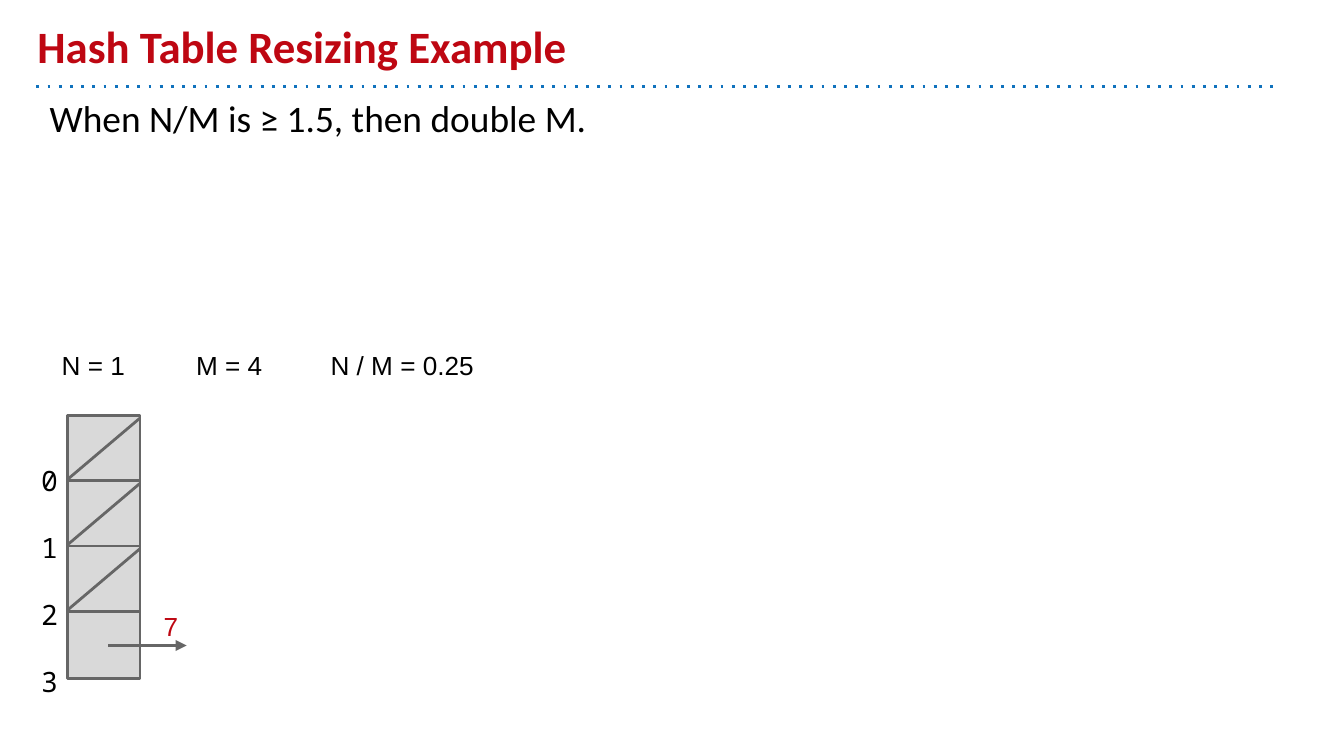
from lxml import etree
from pptx import Presentation
from pptx.dml.color import RGBColor
from pptx.enum import shapes, text
from pptx.oxml import ns
from pptx.util import Pt

RED, BLACK, GREY = "BE0712", "000000", "666666"
BUCKET_COUNT = 4
BUCKET_LEFT, BUCKET_TOP = 36, 222.5
BUCKET_WIDTH, BUCKET_HEIGHT, BUCKET_PITCH = 39, 36, 35


def color(hex_value):
    return RGBColor.from_string(hex_value)


def add_text(slide, box, lines, font, hex_value, paragraph_format=None,
             anchor=text.MSO_ANCHOR.TOP):
    frame = slide.shapes.add_textbox(*map(Pt, box)).text_frame
    frame_format = {"word_wrap": True, "vertical_anchor": anchor}
    for side in ("left", "top", "right", "bottom"):
        frame_format[f"margin_{side}"] = Pt(7.2)
    for name, value in frame_format.items():
        setattr(frame, name, value)
    for i, line in enumerate(lines):
        paragraph = frame.paragraphs[0] if i == 0 else frame.add_paragraph()
        for name, value in (paragraph_format or {}).items():
            setattr(paragraph, name, value)
        run = paragraph.add_run()
        run.text = line
        for name, value in font.items():
            setattr(run.font, name, value)
        run.font.color.rgb = color(hex_value)
    return frame


def add_tab_stops(paragraph, positions):
    tab_list = etree.SubElement(paragraph._p.get_or_add_pPr(),
                                ns.qn("a:tabLst"))
    for position in positions:
        etree.SubElement(tab_list, ns.qn("a:tab"),
                         pos=str(Pt(position)), algn="l")


def add_line(slide, start, end, hex_value, dash=None, arrow=None):
    line = slide.shapes.add_connector(
        shapes.MSO_CONNECTOR.STRAIGHT, *map(Pt, (*start, *end)))
    line.line.color.rgb = color(hex_value)
    line.line.width = Pt(1.5)
    outline = line.line._get_or_add_ln()
    if dash:
        etree.SubElement(outline, ns.qn("a:prstDash"), val=dash)
    if arrow:
        etree.SubElement(outline, ns.qn("a:tailEnd"), type=arrow)
    # An empty effect list removes the shadow
    etree.SubElement(line._element.spPr, ns.qn("a:effectLst"))


def add_bucket(slide, top):
    bucket = slide.shapes.add_shape(
        shapes.MSO_SHAPE.RECTANGLE,
        *map(Pt, (BUCKET_LEFT, top, BUCKET_WIDTH, BUCKET_HEIGHT)))
    bucket.shadow.inherit = False
    bucket.fill.solid()
    bucket.fill.fore_color.rgb = color("D9D9D9")
    bucket.line.color.rgb = color(GREY)
    bucket.line.width = Pt(1.5)


def add_hash_table(slide):
    tops = [BUCKET_TOP + i * BUCKET_PITCH for i in range(BUCKET_COUNT)]
    for top in tops:
        add_bucket(slide, top)

    # Every bucket but the last is empty, shown by a slash
    for top in tops[:-1]:
        add_line(slide, (BUCKET_LEFT, top + 34.5),
                 (BUCKET_LEFT + BUCKET_WIDTH, top + 1.5), GREY)

    # Bucket numbers
    add_text(slide, (15, 223, 23, 140.5), map(str, range(BUCKET_COUNT)),
             {"name": "Noto Sans Mono", "size": Pt(15)}, BLACK,
             {"alignment": text.PP_ALIGN.RIGHT, "line_spacing": 2.0})

    # Item stored in the last bucket
    add_text(slide, (80.5, 320, 32.5, 19.5), ["7"],
             {"name": "Arial", "size": Pt(14)}, RED)
    add_line(slide, (58, 345.8), (100, 345.8), GREY, arrow="triangle")


def main():
    deck = Presentation()
    deck.slide_width, deck.slide_height = Pt(720), Pt(405)
    slide = deck.slides.add_slide(deck.slide_layouts[6])

    # Heading and dotted line
    add_line(slide, (19.5, 46.2), (684, 46.2), "1072BD", dash="dot")
    add_text(slide, (13, 7, 648, 39), ["Hash Table Resizing Example"],
             {"name": "Calibri", "size": Pt(24), "bold": True}, RED,
             anchor=text.MSO_ANCHOR.BOTTOM)

    # Resizing rule
    add_text(slide, (19.5, 44, 680.5, 154),
             ["When N/M is ≥ 1.5, then double M."],
             {"name": "Calibri", "size": Pt(20)}, BLACK,
             {"space_before": Pt(6)})

    # Load factor, in columns one inch apart
    load_factor = add_text(slide, (26, 180, 326, 32.5),
                           ["N = 1\tM = 4\tN / M = 0.25"],
                           {"name": "Arial", "size": Pt(14)}, BLACK)
    add_tab_stops(load_factor.paragraphs[0], (72, 144))

    add_hash_table(slide)
    deck.save("out.pptx")


if __name__ == "__main__":
    main()
